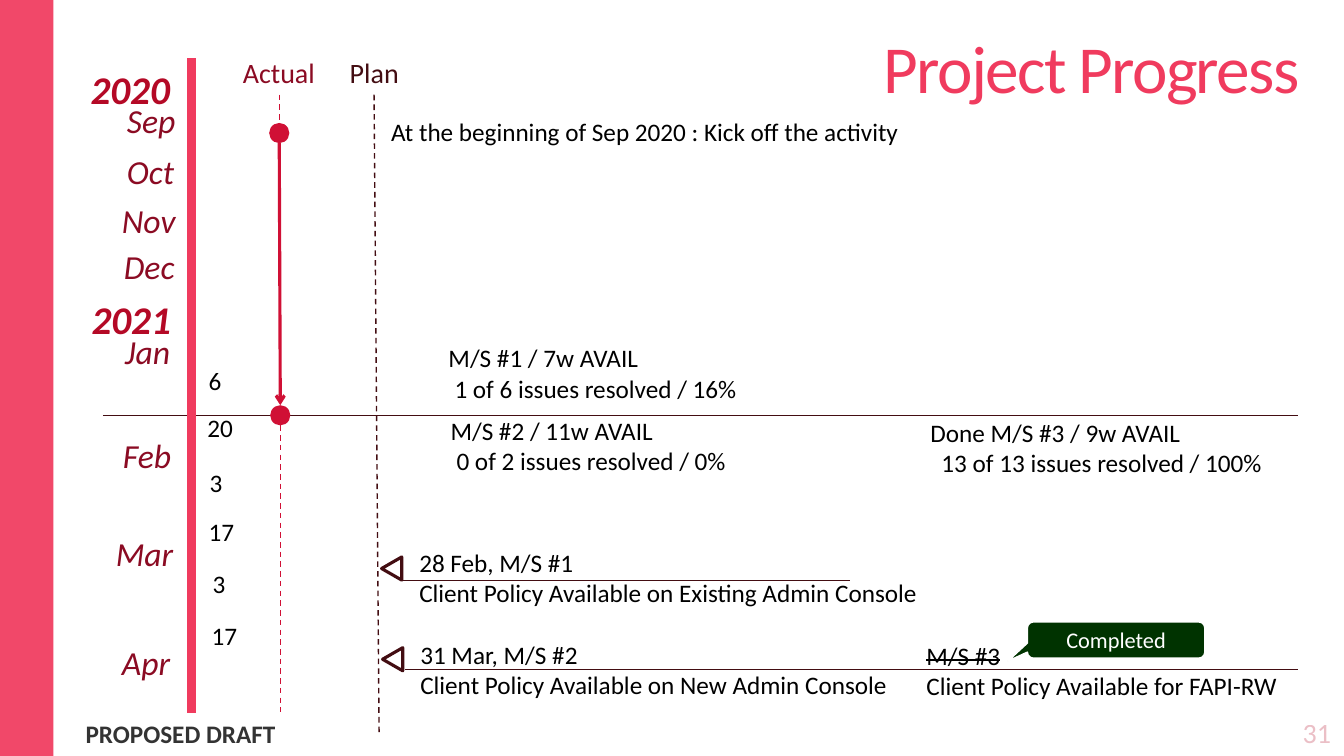
from dataclasses import dataclass

from lxml import etree
from pptx import Presentation
from pptx.dml.color import RGBColor
from pptx.enum.dml import MSO_LINE
from pptx.enum.shapes import MSO_CONNECTOR, MSO_SHAPE
from pptx.enum.text import MSO_ANCHOR, PP_ALIGN
from pptx.oxml.ns import qn
from pptx.util import Emu, Pt

PX = 9144  # 100 px to the inch
LEFT, CENTER, RIGHT = PP_ALIGN.LEFT, PP_ALIGN.CENTER, PP_ALIGN.RIGHT
TOP, MIDDLE, BOTTOM = MSO_ANCHOR.TOP, MSO_ANCHOR.MIDDLE, MSO_ANCHOR.BOTTOM
STRAIGHT, DASH = MSO_CONNECTOR.STRAIGHT, MSO_LINE.DASH


@dataclass(frozen=True)
class Theme:
    font: str = "Calibri"
    accent: str = "F03B5E"
    year: str = "B40926"
    month: str = "8B0B23"
    actual: str = "D01035"
    plan: str = "430D12"
    text: str = "000000"
    done: str = "003300"
    white: str = "FFFFFF"
    title_pt: int = 48
    year_pt: int = 28
    month_pt: int = 24
    head_pt: int = 20
    body_pt: int = 18
    note_pt: int = 16


T = Theme()


@dataclass(frozen=True)
class Style:
    size: int = T.body_pt
    color: str = T.text
    bold: bool = False
    italic: bool = False
    alpha: int = 100
    align: PP_ALIGN = LEFT
    anchor: MSO_ANCHOR = TOP
    wrap: bool = True


BODY = Style()
DAY = Style(wrap=False)
YEAR = Style(T.year_pt, T.year, bold=True, italic=True)
MONTH = Style(T.month_pt, T.month, italic=True, wrap=False)
FOOTER = Style(bold=True, alpha=80, anchor=MIDDLE)
NUMBER = Style(T.head_pt, T.year, alpha=25, align=RIGHT, anchor=BOTTOM)
TITLE = Style(T.title_pt, T.accent, align=RIGHT, anchor=BOTTOM)
BADGE = Style(T.note_pt, T.white, align=CENTER, anchor=MIDDLE)


@dataclass(frozen=True)
class Label:
    x: int
    y: int
    w: int
    h: int
    text: str
    style: Style = BODY


@dataclass(frozen=True)
class Milestone:
    x: int
    y: int
    w: int
    name: str
    detail: str
    indent: int = 0
    struck: bool = False


@dataclass(frozen=True)
class Rule:
    x1: int
    y1: int
    x2: int
    y2: int
    color: str
    width: float = 1
    dashed: bool = False
    arrow: bool = False


LABELS = [
    Label(231, 50, 92, 44, "Actual", Style(T.head_pt, T.month)),
    Label(337, 50, 69, 44, "Plan", Style(T.head_pt, T.plan)),
    Label(378, 111, 535, 40, "At the beginning of Sep 2020 : Kick off the activity"),
    Label(75, 715, 550, 25, "PROPOSED DRAFT", FOOTER),
    Label(1248, 679, 82, 69, "31", NUMBER),
]
LABELS += [Label(x, y, 101, 57, year, YEAR) for x, y, year in [(80, 60, "2020"), (81, 288, "2021")]]
LABELS += [Label(x, y, w, 50, month, MONTH) for x, y, w, month in [
    (116, 94, 68, "Sep"), (116, 145, 67, "Oct"), (111, 193, 73, "Nov"), (113, 239, 71, "Dec"),
    (114, 323, 65, "Jan"), (112, 427, 68, "Feb"), (105, 524, 77, "Mar"), (111, 632, 68, "Apr")]]
LABELS += [Label(x, y, 20 + 13 * len(day), 40, day, DAY) for x, y, day in [
    (197, 358, "6"), (196, 404, "20"), (198, 459, "3"),
    (197, 507, "17"), (201, 559, "3"), (200, 610, "17")]]

MILESTONES = [
    Milestone(435, 335, 324, "M/S #1 / 7w AVAIL", "1 of 6 issues resolved / 16%", 6),
    Milestone(437, 407, 324, "M/S #2 / 11w AVAIL", "0 of 2 issues resolved / 0%", 6),
    Milestone(913, 409, 357, "Done M/S #3 / 9w AVAIL", "13 of 13 issues resolved / 100%", 11),
    Milestone(406, 538, 529, "28 Feb, M/S #1", "Client Policy Available on Existing Admin Console"),
    Milestone(407, 629, 519, "31 Mar, M/S #2", "Client Policy Available on New Admin Console"),
    Milestone(909, 630, 397, "M/S #3", "Client Policy Available for FAPI-RW", struck=True),
]

RULES = [
    Rule(102, 412, 1287, 412, T.plan, 0.75),
    Rule(190, 58, 190, 707, T.accent, 6),
    Rule(277, 142, 278, 402, T.actual, 2.25, arrow=True),
    Rule(277, 94, 277, 122, T.actual, dashed=True),
    Rule(278, 422, 278, 706, T.actual, dashed=True),
    Rule(371, 94, 376, 728, T.plan, dashed=True),
    Rule(398, 576, 843, 576, T.plan),
    Rule(402, 664, 1287, 664, T.plan),
]


def emu(*lengths: int) -> list[Emu]:
    return [Emu(n * PX) for n in lengths]


def set_alpha(element, percent: int) -> None:
    """Make the solid colour inside the element partly transparent."""
    color = next(element.iter(qn("a:srgbClr")))
    etree.SubElement(color, qn("a:alpha")).set("val", str(percent * 1000))


def add_run(p, text: str, style: Style):
    r = p.add_run()
    r.text = text
    font = r.font
    font.name, font.size = T.font, Pt(style.size)
    font.bold, font.italic = style.bold, style.italic
    font.color.rgb = RGBColor.from_string(style.color)
    if style.alpha < 100:
        set_alpha(r._r, style.alpha)
    p.alignment = style.align
    return r


def set_frame(sp, style: Style):
    tf = sp.text_frame
    tf.word_wrap, tf.vertical_anchor = style.wrap, style.anchor
    return tf


def add_label(s, label: Label) -> None:
    sp = s.shapes.add_textbox(*emu(label.x, label.y, label.w, label.h))
    add_run(set_frame(sp, label.style).paragraphs[0], label.text, label.style)


def add_milestone(s, m: Milestone) -> None:
    tf = set_frame(s.shapes.add_textbox(*emu(m.x, m.y, m.w, 71)), BODY)
    r = add_run(tf.paragraphs[0], m.name, BODY)
    if m.struck:
        r.font._element.set("strike", "sngStrike")
    p = tf.add_paragraph()
    add_run(p, m.detail, BODY)
    if m.indent:
        p._p.get_or_add_pPr().set("marL", str(m.indent * PX))


def add_rule(s, rule: Rule) -> None:
    line = s.shapes.add_connector(STRAIGHT, *emu(rule.x1, rule.y1, rule.x2, rule.y2))
    line.line.color.rgb = RGBColor.from_string(rule.color)
    line.line.width = Pt(rule.width)
    if rule.dashed:
        line.line.dash_style = DASH
    if rule.arrow:
        etree.SubElement(line.line._get_or_add_ln(), qn("a:tailEnd")).set("type", "arrow")
    etree.SubElement(line._element.spPr, qn("a:effectLst"))


def add_preset(s, kind: MSO_SHAPE, x: int, y: int, w: int, h: int,
               fill: str = "", line: str = "", width: float = 1):
    sp = s.shapes.add_shape(kind, *emu(x, y, w, h))
    sp.shadow.inherit = False
    if fill:
        sp.fill.solid()
        sp.fill.fore_color.rgb = RGBColor.from_string(fill)
    else:
        sp.fill.background()
    if line:
        sp.line.color.rgb = RGBColor.from_string(line)
        sp.line.width = Pt(width)
    else:
        sp.line.fill.background()
    return sp


def set_title(s, text: str) -> None:
    title = s.shapes.title
    title.left, title.top, title.width, title.height = emu(798, 21, 501, 90)
    p = set_frame(title, TITLE).paragraphs[0]
    p.line_spacing = 0.85
    add_run(p, text, TITLE).font._element.set("spc", "-120")


def main() -> None:
    prs = Presentation()
    prs.slide_width, prs.slide_height = emu(1333, 750)
    s = prs.slides.add_slide(prs.slide_layouts[5])
    set_title(s, "Project Progress")
    band = add_preset(s, MSO_SHAPE.RECTANGLE, 0, 0, 53, 750, T.accent)
    set_alpha(band._element.spPr, 93)
    for rule in RULES:
        add_rule(s, rule)
    for x, y in [(267, 122), (268, 402)]:
        add_preset(s, MSO_SHAPE.OVAL, x, y, 20, 20, T.actual)
    for x, y in [(377, 554), (378, 644)]:
        marker = add_preset(s, MSO_SHAPE.ISOSCELES_TRIANGLE, x, y, 23, 20, line=T.plan, width=2.25)
        marker.rotation = 270
    for label in LABELS:
        add_label(s, label)
    for milestone in MILESTONES:
        add_milestone(s, milestone)
    badge = add_preset(s, MSO_SHAPE.ROUNDED_RECTANGULAR_CALLOUT, 1019, 617, 176, 36, T.done, T.white)
    badge.adjustments[0], badge.adjustments[1] = -0.61, 0.58
    add_run(set_frame(badge, BADGE).paragraphs[0], "Completed", BADGE)
    prs.save("out.pptx")


if __name__ == "__main__":
    main()
